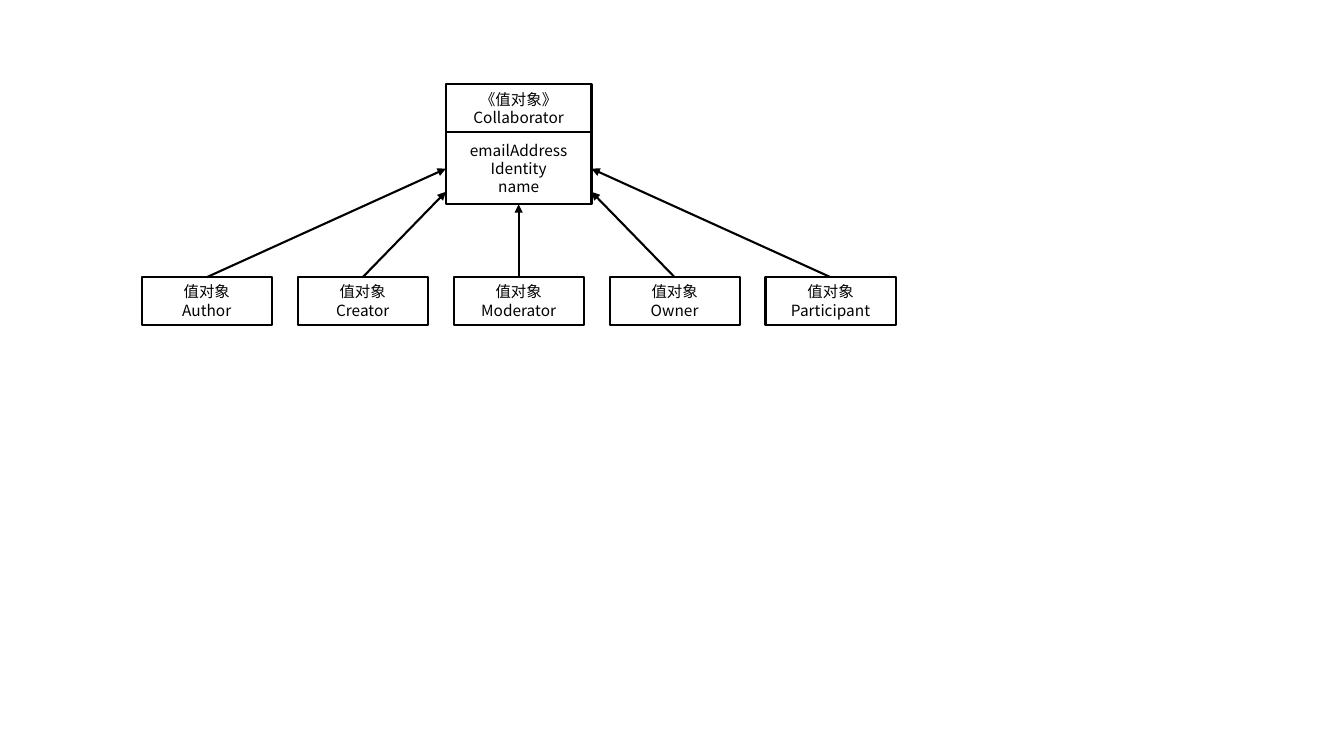
import dataclasses

import lxml.etree
import pptx
import pptx.dml.color
import pptx.enum.shapes
import pptx.enum.text
import pptx.oxml.ns
import pptx.util

Pt = pptx.util.Pt
qn = pptx.oxml.ns.qn


@dataclasses.dataclass(frozen=True)
class Theme:
    ink: pptx.dml.color.RGBColor = pptx.dml.color.RGBColor(0, 0, 0)
    font: str = "Noto Sans CJK SC"
    size: float = 11
    leading: float = 13
    line: float = 1.5


class Diagram:
    def __init__(self, slide, theme):
        self.slide = slide
        self.theme = theme

    def outline(self, line):
        line.color.rgb = self.theme.ink
        line.width = Pt(self.theme.line)

    def box(self, left, top, width, height, lines):
        sp = self.slide.shapes.add_shape(
            pptx.enum.shapes.MSO_SHAPE.RECTANGLE,
            Pt(left), Pt(top), Pt(width), Pt(height))
        sp.shadow.inherit = False
        sp.fill.background()
        self.outline(sp.line)
        tf = sp.text_frame
        tf.word_wrap = True
        tf.vertical_anchor = pptx.enum.text.MSO_ANCHOR.MIDDLE
        tf.margin_left = tf.margin_right = tf.margin_top = tf.margin_bottom = 0
        tf.text = "\n".join(lines)
        for p in tf.paragraphs:
            p.alignment = pptx.enum.text.PP_ALIGN.CENTER
            p.line_spacing = Pt(self.theme.leading)
            for r in p.runs:
                r.font.size = Pt(self.theme.size)
                r.font.name = self.theme.font
                r.font.color.rgb = self.theme.ink
                ea = lxml.etree.SubElement(r._r.get_or_add_rPr(), qn("a:ea"))
                ea.set("typeface", self.theme.font)

    def arrow(self, x1, y1, x2, y2):
        c = self.slide.shapes.add_connector(
            pptx.enum.shapes.MSO_CONNECTOR.STRAIGHT,
            Pt(x1), Pt(y1), Pt(x2), Pt(y2))
        self.outline(c.line)
        spPr = c._element.spPr
        tail = lxml.etree.SubElement(spPr.find(qn("a:ln")), qn("a:tailEnd"))
        tail.set("type", "triangle")
        lxml.etree.SubElement(spPr, qn("a:effectLst"))


def main():
    prs = pptx.Presentation()
    prs.slide_width = Pt(960)
    prs.slide_height = Pt(540)
    s = prs.slides.add_slide(prs.slide_layouts[6])
    d = Diagram(s, Theme())

    center = 370.5
    parent_w, parent_top, head_h, body_h = 104, 60, 34.5, 51.5
    parent_left = center - parent_w / 2
    parent_right = center + parent_w / 2
    body_top = parent_top + head_h
    d.box(parent_left, parent_top, parent_w, head_h, ["《值对象》", "Collaborator"])
    d.box(parent_left, body_top, parent_w, body_h,
          ["emailAddress", "Identity", "name"])

    child_w, child_h, child_top, pitch = 93, 34, 198, 111.4
    children = [
        ("Author", parent_left, 120.5),
        ("Creator", parent_left, 137),
        ("Moderator", center, body_top + body_h),
        ("Owner", parent_right, 137),
        ("Participant", parent_right, 120.5),
    ]
    for i, (name, tip_x, tip_y) in enumerate(children):
        x = center + (i - len(children) // 2) * pitch
        d.box(x - child_w / 2, child_top, child_w, child_h, ["值对象", name])
        d.arrow(x, child_top, tip_x, tip_y)

    prs.save("out.pptx")


if __name__ == "__main__":
    main()
